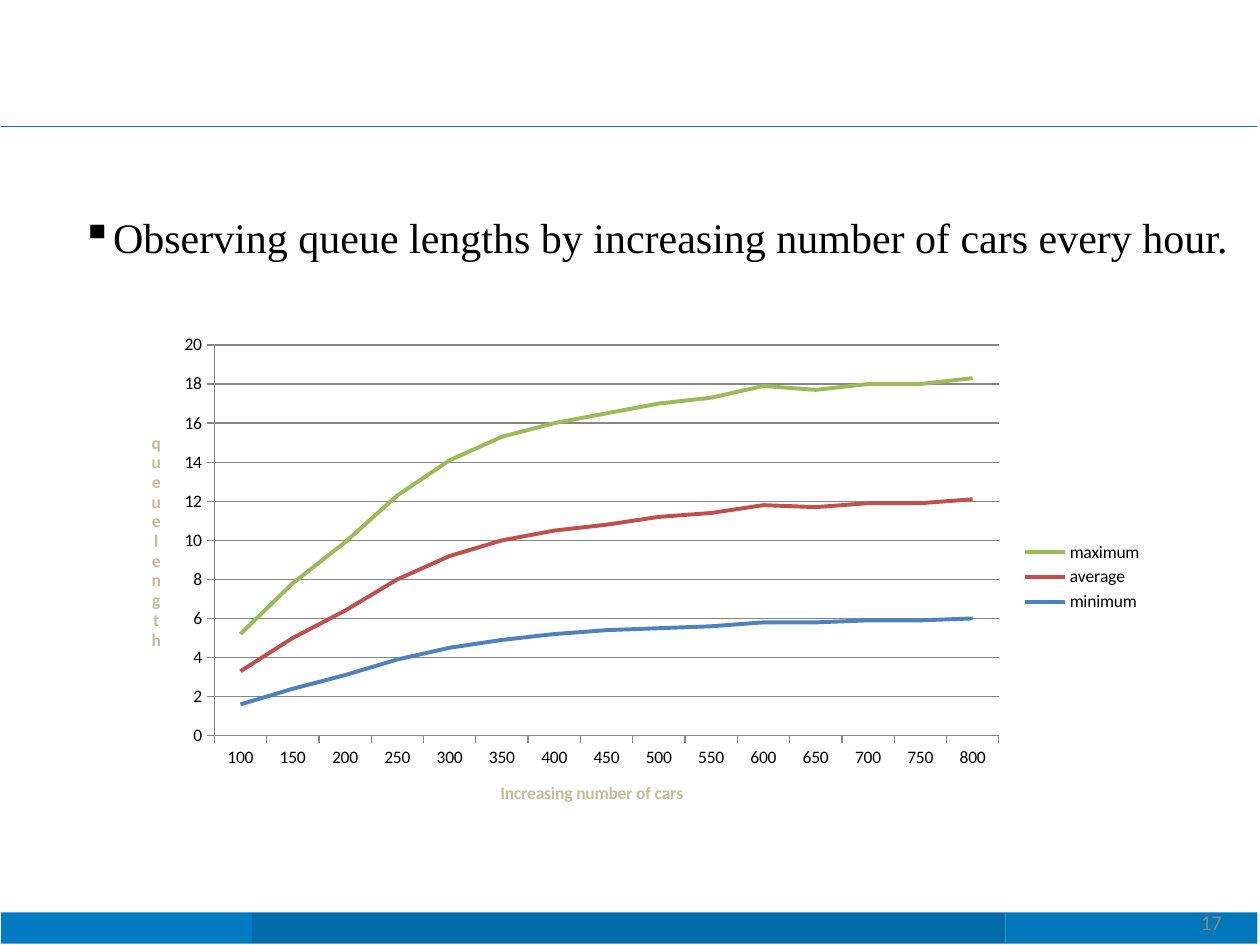
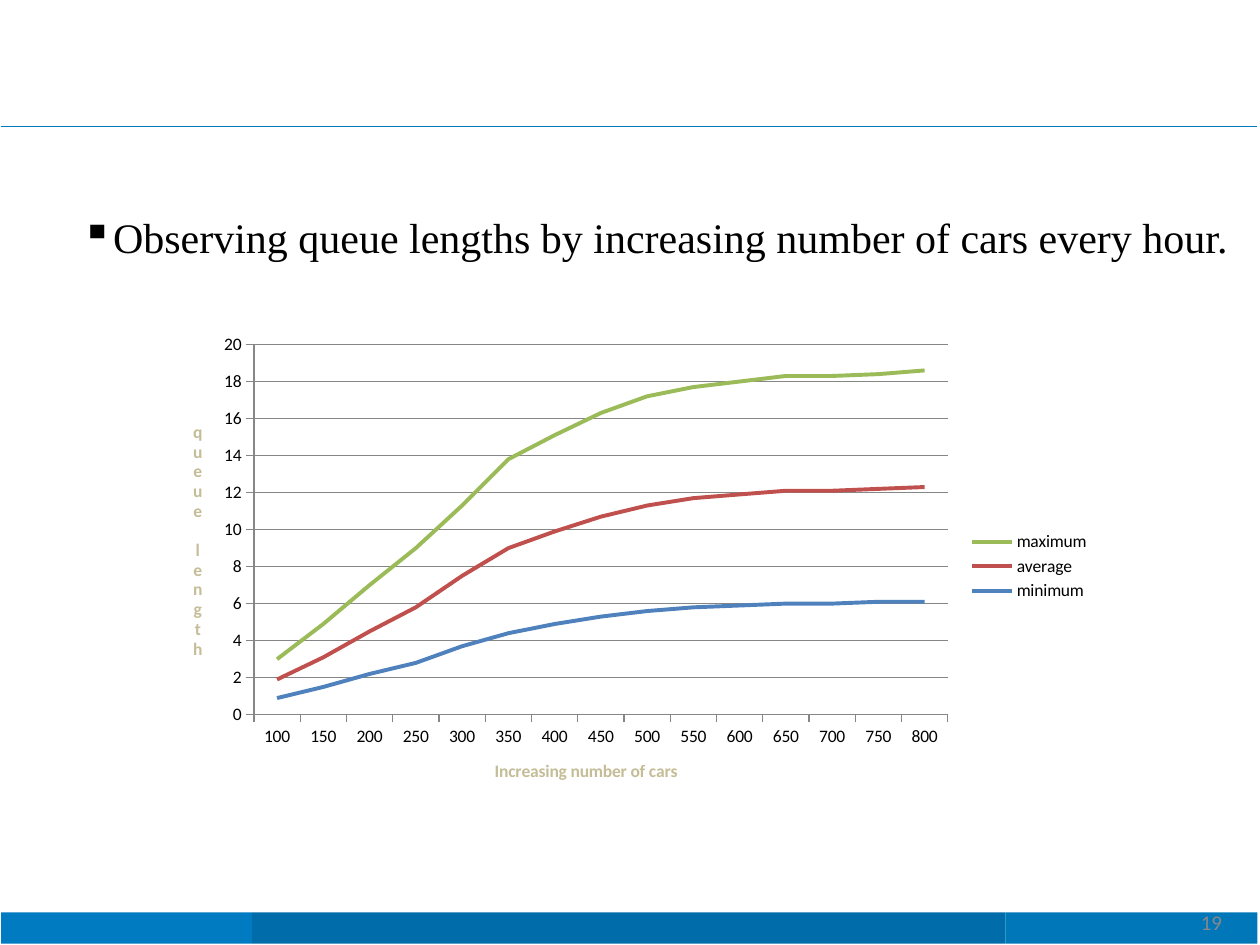
from lxml import etree
from pptx import Presentation
from pptx.chart.data import CategoryChartData
from pptx.dml.color import RGBColor
from pptx.enum.chart import XL_CHART_TYPE, XL_LEGEND_POSITION, XL_MARKER_STYLE, XL_TICK_MARK
from pptx.enum.shapes import MSO_CONNECTOR, MSO_SHAPE
from pptx.enum.text import MSO_ANCHOR
from pptx.oxml.ns import qn
from pptx.util import Inches, Pt

BLACK = RGBColor(0x00, 0x00, 0x00)
PAGE_GREY = RGBColor(0x88, 0x88, 0x88)
AXIS_GREY = RGBColor(0x86, 0x86, 0x86)
AXIS_TITLE_TAN = RGBColor(0xC4, 0xBD, 0x97)
RULE_BLUE = RGBColor(0x00, 0x7B, 0xC1)
BAND_MIDDLE_BLUE = RGBColor(0x00, 0x6C, 0xAA)
BAND_RIGHT_BLUE = RGBColor(0x00, 0x77, 0xB9)

STATEMENT = "Observing queue lengths by increasing number of cars every hour."
CARS_TITLE = "Increasing number of cars"
CARS_PER_HOUR = [str(cars) for cars in range(100, 801, 50)]
SERIES_COLOURS = {
    "minimum": RGBColor(0x4F, 0x81, 0xBD),
    "average": RGBColor(0xC0, 0x50, 0x4D),
    "maximum": RGBColor(0x9B, 0xBB, 0x59),
}
BANDS = [(0.01, 2, RULE_BLUE), (2, 7.98, BAND_MIDDLE_BLUE), (7.98, 9.98, BAND_RIGHT_BLUE)]

STUDIES = [
    {
        "page": "17",
        "chart_box": (1, 2.58, 8.17, 4),
        "queue_title": "queuelength ",
        "queues": {
            "minimum": (1.6, 2.4, 3.1, 3.9, 4.5, 4.9, 5.2, 5.4, 5.5, 5.6, 5.8, 5.8, 5.9, 5.9, 6),
            "average": (1.7, 2.6, 3.3, 4.1, 4.7, 5.1, 5.3, 5.4, 5.7, 5.8, 6, 5.9, 6, 6, 6.1),
            "maximum": (1.9, 2.8, 3.5, 4.3, 4.9, 5.3, 5.5, 5.7, 5.8, 5.9, 6.1, 6, 6.1, 6.1, 6.2),
        },
    },
    {
        "page": "19",
        "chart_box": (1.33, 2.58, 7.42, 3.83),
        "queue_title": "queue length",
        "queues": {
            "minimum": (0.9, 1.5, 2.2, 2.8, 3.7, 4.4, 4.9, 5.3, 5.6, 5.8, 5.9, 6, 6, 6.1, 6.1),
            "average": (1, 1.6, 2.3, 3, 3.8, 4.6, 5, 5.4, 5.7, 5.9, 6, 6.1, 6.1, 6.1, 6.2),
            "maximum": (1.1, 1.8, 2.5, 3.2, 3.8, 4.8, 5.2, 5.6, 5.9, 6, 6.1, 6.2, 6.2, 6.2, 6.3),
        },
    },
]


def style_font(font, name, size, colour, bold=False):
    """Apply a typeface, size, colour and weight."""
    font.name, font.size, font.bold = name, Pt(size), bold
    font.color.rgb = colour


def add_frame(slide):
    """Draw the header rule and the footer bands."""
    rule = slide.shapes.add_connector(
        MSO_CONNECTOR.STRAIGHT, Inches(0.01), Inches(1), Inches(9.98), Inches(1)
    )
    rule.line.color.rgb = RULE_BLUE
    rule.line.width = Pt(0.4)
    etree.SubElement(rule._element.spPr, qn("a:effectLst"))
    for left, right, colour in BANDS:
        band = slide.shapes.add_shape(
            MSO_SHAPE.RECTANGLE, Inches(left), Inches(7.24), Inches(right - left), Inches(0.25)
        )
        band.shadow.inherit = False
        band.fill.solid()
        band.fill.fore_color.rgb = colour
        band.line.fill.background()


def add_text(slide, text, box, font_name, size, colour, insets):
    """Add a one-paragraph text box and return its paragraph."""
    frame = slide.shapes.add_textbox(*map(Inches, box)).text_frame
    frame.word_wrap = True
    frame.vertical_anchor = MSO_ANCHOR.TOP
    frame.margin_left, frame.margin_top, frame.margin_right, frame.margin_bottom = map(Inches, insets)
    paragraph = frame.paragraphs[0]
    paragraph.text = text
    style_font(paragraph.font, font_name, size, colour)
    return paragraph


def add_statement(slide):
    """Add the bulleted statement with a hanging indent."""
    statement = add_text(
        slide, STATEMENT, (0.55, 1.59, 9.5, 0.91), "Times New Roman", 24, BLACK, (0.1, 0.09, 0.1, 0.05)
    )
    properties = statement._p.get_or_add_pPr()
    properties.set("marL", str(Inches(0.2)))
    properties.set("indent", str(-Inches(0.2)))
    bullet = etree.Element(qn("a:buChar"), char="▪")
    properties.insert_element_before(bullet, "a:tabLst", "a:defRPr", "a:extLst")


def add_page_number(slide, page):
    """Add the page number over the right footer band."""
    number = add_text(slide, page, (9.5, 7.25, 0.29, 0.17), "Calibri", 12, PAGE_GREY, (0, 0, 0, 0))
    number.line_spacing = Pt(12.4)
    number._p.get_or_add_pPr().set("marL", str(Inches(0.03)))


def style_axis(axis, title):
    """Give an axis its title, ticks and line."""
    axis.major_tick_mark = XL_TICK_MARK.OUTSIDE
    axis.minor_tick_mark = XL_TICK_MARK.NONE
    axis.format.line.color.rgb = AXIS_GREY
    axis.format.line.width = Pt(0.75)
    frame = axis.axis_title.text_frame
    frame.text = title
    style_font(frame.paragraphs[0].runs[0].font, "Calibri", 10, AXIS_TITLE_TAN, bold=True)
    return frame


def add_queue_chart(slide, study):
    """Add the stacked line chart of queue lengths."""
    chart_data = CategoryChartData()
    chart_data.categories = CARS_PER_HOUR
    for name, lengths in study["queues"].items():
        chart_data.add_series(name, lengths)
    chart = slide.shapes.add_chart(
        XL_CHART_TYPE.LINE_STACKED, *map(Inches, study["chart_box"]), chart_data
    ).chart
    style_font(chart.font, "Calibri", 10, BLACK)
    chart.has_title = False
    chart.has_legend = True
    chart.legend.position = XL_LEGEND_POSITION.RIGHT
    chart.legend.include_in_layout = False

    style_axis(chart.category_axis, CARS_TITLE)
    queue_axis = chart.value_axis
    queue_title = style_axis(queue_axis, study["queue_title"])
    queue_title._txBody.bodyPr.set("rot", "0")
    queue_title._txBody.bodyPr.set("vert", "wordArtVert")
    queue_axis.minimum_scale, queue_axis.maximum_scale, queue_axis.major_unit = 0, 20, 2
    queue_axis.has_major_gridlines = True
    queue_axis.major_gridlines.format.line.color.rgb = AXIS_GREY
    queue_axis.major_gridlines.format.line.width = Pt(0.75)

    chart.plots[0].vary_by_categories = False
    for series in chart.plots[0].series:
        series.smooth = False
        series.marker.style = XL_MARKER_STYLE.NONE
        series.format.line.color.rgb = SERIES_COLOURS[series.name]
        series.format.line.width = Pt(2.25)


def main():
    """Build one slide for each queue study."""
    deck = Presentation()
    deck.slide_width, deck.slide_height = Inches(10), Inches(7.5)
    for study in STUDIES:
        slide = deck.slides.add_slide(deck.slide_layouts[6])
        add_frame(slide)
        add_statement(slide)
        add_queue_chart(slide, study)
        add_page_number(slide, study["page"])
    deck.save("out.pptx")


if __name__ == "__main__":
    main()
